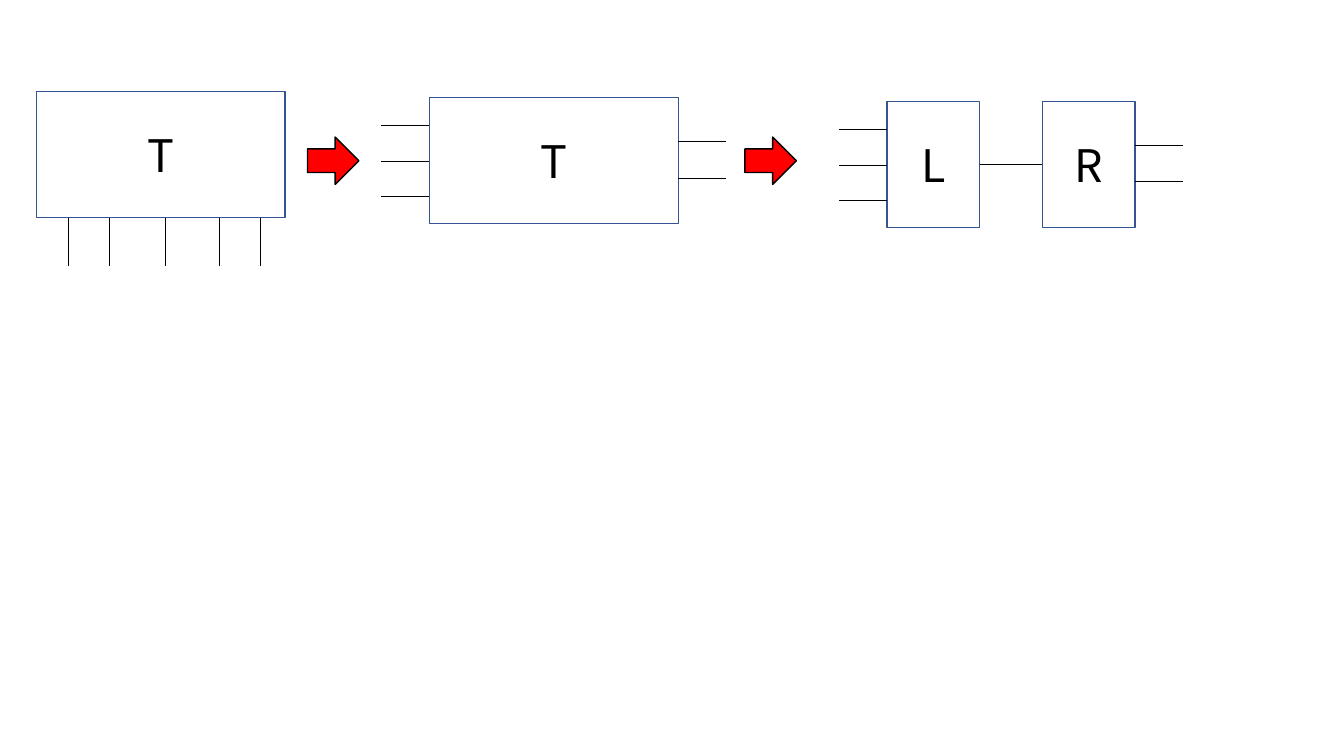
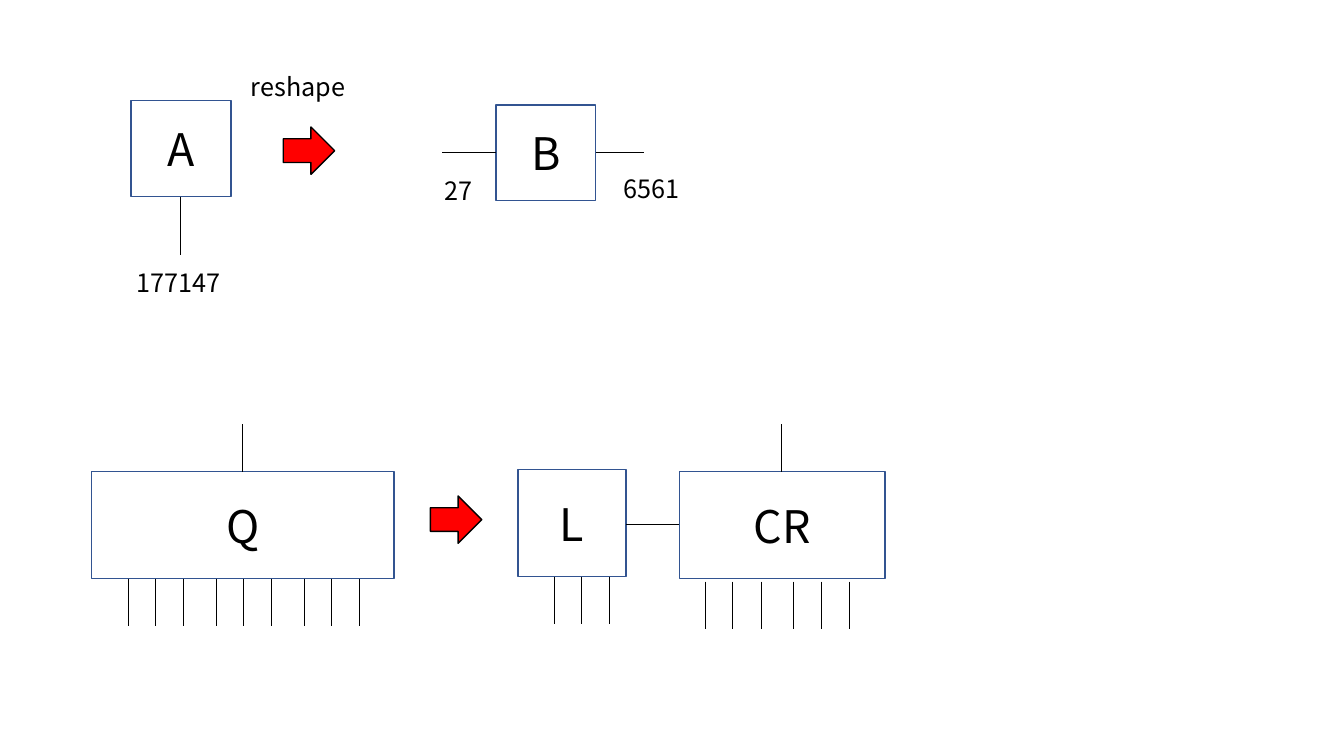
from dataclasses import dataclass
from enum import Enum

from pptx import Presentation
from pptx.dml.color import RGBColor
from pptx.enum.shapes import MSO_CONNECTOR as Connector, MSO_SHAPE as Shape
from pptx.enum.text import MSO_ANCHOR as Anchor, MSO_AUTO_SIZE as AutoSize, PP_ALIGN as Align
from pptx.oxml.ns import qn
from pptx.oxml.xmlchemy import OxmlElement
from pptx.slide import Slide
from pptx.text.text import TextFrame
from pptx.util import Inches, Pt

# All lengths below are columns and rows of a square grid.
CELL = Inches(0.1)
COLUMNS, ROWS = 133.33, 75

FONT = "Noto Sans CJK JP"
BLACK = RGBColor(0x00, 0x00, 0x00)
WHITE = RGBColor(0xFF, 0xFF, 0xFF)
RED = RGBColor(0xFF, 0x00, 0x00)
BLUE = RGBColor(0x32, 0x54, 0x91)

ARROW_WIDTH, ARROW_HEIGHT = 5.1, 4.7
LABEL_HEIGHT = 4
LEG_LENGTH = 4.75
TRIPLE_STEPS = (0, 2.7, 5.5)
TRIPLE_PITCH = 8.75


class Side(Enum):
    """Side of a tensor, as its outward direction."""
    LEFT = (-1, 0)
    RIGHT = (1, 0)
    TOP = (0, -1)
    BOTTOM = (0, 1)


@dataclass(frozen=True)
class Legs:
    """Parallel index lines; offsets run along the side from its left or top end."""
    side: Side
    offsets: tuple[float, ...]
    length: float = LEG_LENGTH
    gap: float = 0


@dataclass(frozen=True)
class Tensor:
    """A lettered box with its legs."""
    name: str
    left: float
    top: float
    width: float
    height: float
    legs: tuple[Legs, ...]


@dataclass(frozen=True)
class Arrow:
    """A step arrow, placed by its top left corner."""
    left: float
    top: float


@dataclass(frozen=True)
class Label:
    """A small caption."""
    text: str
    left: float
    top: float
    width: float


def cells(count: float) -> int:
    """Convert grid cells to slide units."""
    return round(count * CELL)


def triples(first: float, count: int) -> tuple[float, ...]:
    """Offsets of evenly spaced groups of three legs."""
    return tuple(first + group * TRIPLE_PITCH + step
                 for group in range(count) for step in TRIPLE_STEPS)


def write(frame: TextFrame, text: str, size: int, align: Align) -> None:
    """Write one paragraph in the deck's font."""
    para = frame.paragraphs[0]
    para.text = text
    para.alignment = align
    para.font.name = FONT
    para.font.size = Pt(size)
    para.font.color.rgb = BLACK


def draw_shape(page: Slide, kind: Shape, left: float, top: float, width: float,
               height: float, fill: RGBColor, line: RGBColor):
    """Draw a filled, outlined shape without shadow."""
    shape = page.shapes.add_shape(kind, *map(cells, (left, top, width, height)))
    shape.shadow.inherit = False
    shape.fill.solid()
    shape.fill.fore_color.rgb = fill
    shape.line.color.rgb = line
    shape.line.width = Pt(1)
    return shape


def draw_legs(page: Slide, tensor: Tensor, legs: Legs) -> None:
    """Draw the legs outward from one side of a tensor."""
    across, down = legs.side.value
    for offset in legs.offsets:
        x = tensor.left + (offset if down else tensor.width * (across > 0))
        y = tensor.top + (offset if across else tensor.height * (down > 0))
        reach = legs.gap + legs.length
        ends = (x + across * legs.gap, y + down * legs.gap,
                x + across * reach, y + down * reach)
        leg = page.shapes.add_connector(Connector.STRAIGHT, *map(cells, ends))
        leg.line.color.rgb = BLACK
        leg.line.width = Pt(0.5)
        leg._element.spPr.append(OxmlElement("a:effectLst"))


def draw_tensor(page: Slide, tensor: Tensor) -> None:
    """Draw a tensor's box, name and legs."""
    box = draw_shape(page, Shape.RECTANGLE, tensor.left, tensor.top,
                     tensor.width, tensor.height, WHITE, BLUE)
    box.text_frame.vertical_anchor = Anchor.MIDDLE
    write(box.text_frame, tensor.name, 32, Align.CENTER)
    for legs in tensor.legs:
        draw_legs(page, tensor, legs)


def draw_arrow(page: Slide, arrow: Arrow) -> None:
    """Draw a red step arrow."""
    draw_shape(page, Shape.RIGHT_ARROW, arrow.left, arrow.top,
               ARROW_WIDTH, ARROW_HEIGHT, RED, BLACK)


def draw_label(page: Slide, label: Label) -> None:
    """Draw a one-line caption."""
    box = page.shapes.add_textbox(
        *map(cells, (label.left, label.top, label.width, LABEL_HEIGHT)))
    box.text_frame.word_wrap = False
    box.text_frame.auto_size = AutoSize.SHAPE_TO_FIT_TEXT
    write(box.text_frame, label.text, 18, Align.LEFT)


ROW_LEGS = Legs(Side.LEFT, (2.7, 6.35, 9.8))
COLUMN_LEGS = Legs(Side.RIGHT, (4.35, 7.95))

SPLITTING = (
    Tensor("T", 3.6, 9.1, 24.7, 12.5,
           (Legs(Side.BOTTOM, (3.2, 7.2, 12.8, 18.2, 22.2)),)),
    Arrow(30.5, 13.6),
    Tensor("T", 42.6, 9.7, 24.7, 12.5, (ROW_LEGS, COLUMN_LEGS)),
    Arrow(73.9, 13.6),
    Tensor("L", 88, 10.1, 9.2, 12.5, (ROW_LEGS, Legs(Side.RIGHT, (6.2,), 6.2))),
    Tensor("R", 103.4, 10.05, 9.2, 12.5, (COLUMN_LEGS,)),
)

RESHAPING = (
    Tensor("A", 13, 10, 9.9, 9.5, (Legs(Side.BOTTOM, (4.9,), 5.8),)),
    Label("177147", 12.6, 26, 10.4),
    Arrow(28.1, 12.6),
    Label("reshape", 23.9, 6.6, 11.4),
    Tensor("B", 49.2, 10.4, 9.9, 9.5,
           (Legs(Side.LEFT, (4.7,), 5.3), Legs(Side.RIGHT, (4.7,)))),
    Label("27", 43.1, 16.9, 4.8),
    Label("6561", 60.9, 16.7, 7.6),
    Tensor("Q", 9.1, 46.8, 30, 10.6,
           (Legs(Side.TOP, (14.95,)), Legs(Side.BOTTOM, triples(3.6, 3)))),
    Arrow(42.7, 49.2),
    Tensor("L", 51.4, 46.6, 10.7, 10.6,
           (Legs(Side.RIGHT, (5.4,), 5.3), Legs(Side.BOTTOM, triples(3.6, 1)))),
    Tensor("CR", 67.4, 46.8, 20.4, 10.6,
           (Legs(Side.TOP, (10.1,)), Legs(Side.BOTTOM, triples(2.6, 2), gap=0.3))),
)

PAINTERS = {Tensor: draw_tensor, Arrow: draw_arrow, Label: draw_label}


def build_deck() -> None:
    """Build and save both diagram slides."""
    deck = Presentation()
    deck.slide_width, deck.slide_height = cells(COLUMNS), cells(ROWS)
    for diagram in (SPLITTING, RESHAPING):
        page = deck.slides.add_slide(deck.slide_layouts[6])
        for item in diagram:
            PAINTERS[type(item)](page, item)
    deck.save("out.pptx")


build_deck()
